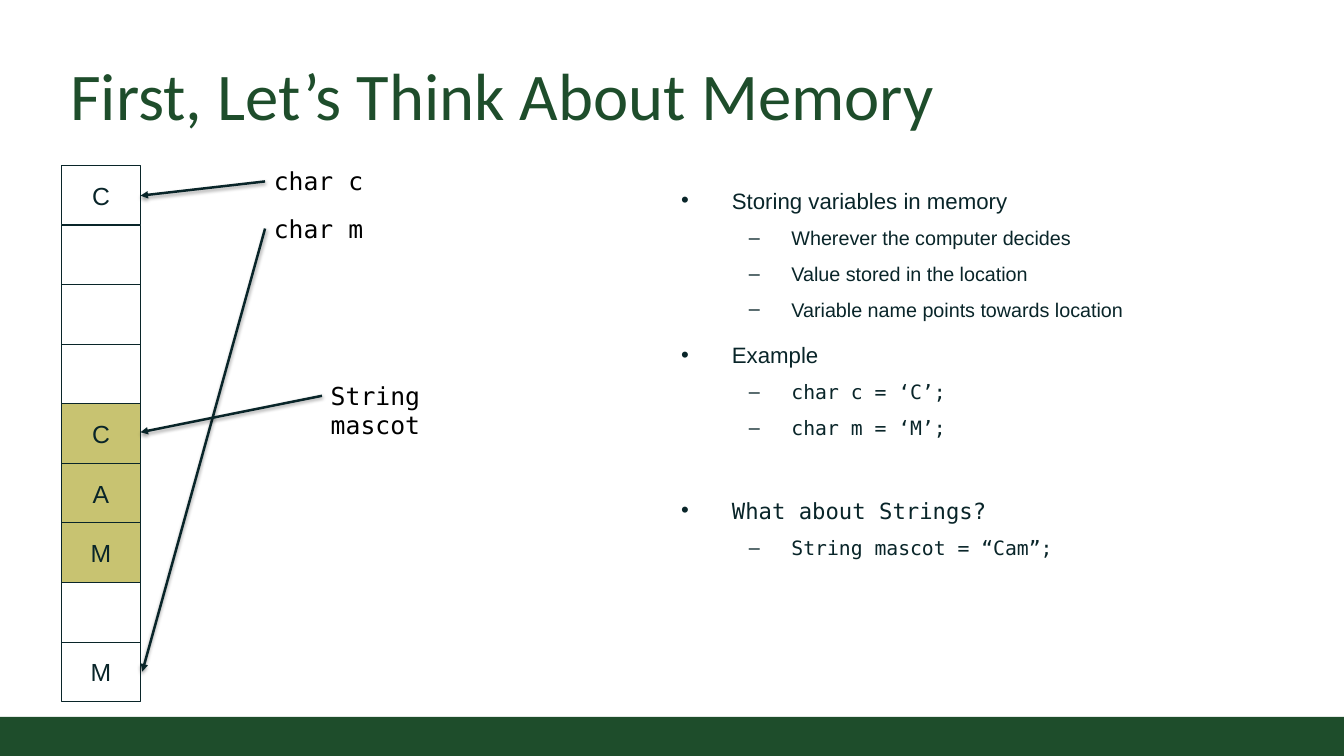
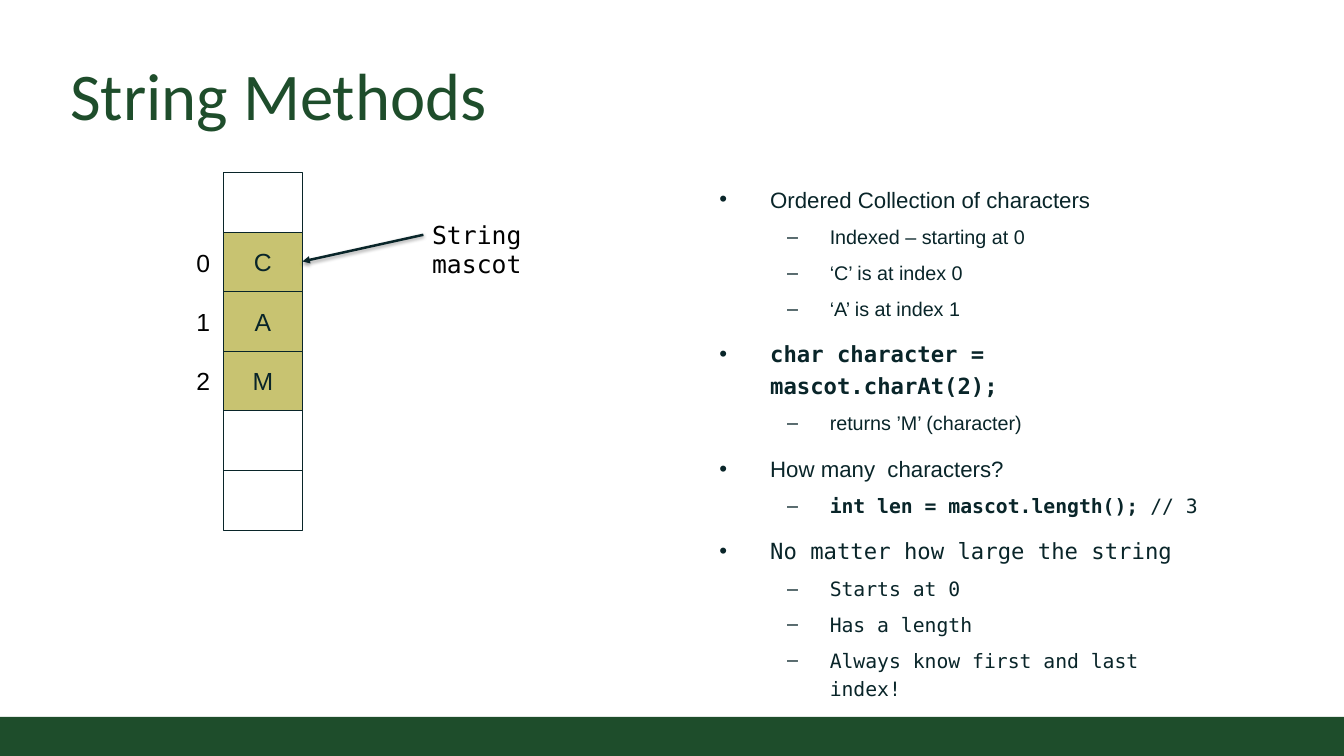
from lxml.etree import SubElement
from pptx import Presentation
from pptx.dml.color import RGBColor
from pptx.enum.shapes import MSO_CONNECTOR, MSO_SHAPE
from pptx.enum.text import MSO_ANCHOR, PP_ALIGN
from pptx.oxml.ns import qn
from pptx.util import Inches, Pt

GREEN, GOLD, INK, BLACK = "1E4D2B", "C8C371", "092529", "000000"
SANS, MONO, HEAD = "Arial", "DejaVu Sans Mono", "Calibri"
WIDE, HIGH = 15.11, 8.5
CELL_W, CELL_H = 0.89, 0.67

MEMORY = [
    (0, SANS, "Storing variables in memory"),
    (1, SANS, "Wherever the computer decides"),
    (1, SANS, "Value stored in the location"),
    (1, SANS, "Variable name points towards location"),
    (0, SANS, "Example"),
    (1, MONO, "char c = ‘C’;"),
    (1, MONO, "char m = ‘M’;"),
    (0, MONO, "What about Strings?", {"before": 36}),
    (1, MONO, "String mascot = “Cam”;"),
]
METHODS = [
    (0, SANS, "Ordered Collection of characters"),
    (1, SANS, "Indexed – starting at 0"),
    (1, SANS, "‘C’ is at index 0"),
    (1, SANS, "‘A’ is at index 1"),
    (0, MONO, "char character = mascot.charAt(2);", {"bold": True}),
    (1, SANS, "returns ’M’ (character)"),
    (0, SANS, "How many  characters?"),
    (1, MONO, "int len = mascot.length(); ", {"bold": True, "tail": "// 3"}),
    (0, MONO, "No matter how large the string"),
    (1, MONO, "Starts at 0"),
    (1, MONO, "Has a length"),
    (1, MONO, "Always know first and last index!"),
]


def color(code):
    return RGBColor.from_string(code)


def box(*sides):
    return [Inches(side) for side in sides]


def style(run, font, size, code, bold=False):
    run.font.name = font
    run.font.size = Pt(size)
    run.font.bold = bold
    run.font.color.rgb = color(code)


def inset(frame, size):
    frame.margin_left = frame.margin_right = Inches(size)
    frame.margin_top = frame.margin_bottom = Inches(size)
    frame.word_wrap = True


def add_rect(slide, place, fill=None, line=None):
    rect = slide.shapes.add_shape(MSO_SHAPE.RECTANGLE, *box(*place))
    rect.shadow.inherit = False
    if fill:
        rect.fill.solid()
        rect.fill.fore_color.rgb = color(fill)
    else:
        rect.fill.background()
    if line:
        rect.line.color.rgb = color(line)
        rect.line.width = Pt(0.75)
    else:
        rect.line.fill.background()
    return rect


def add_slide(deck, title):
    slide = deck.slides.add_slide(deck.slide_layouts[5])
    add_rect(slide, (0, 8.06, WIDE, 0.44), GREEN)
    head = slide.shapes.title
    head.left, head.top, head.width, head.height = box(0.69, 0.49, 13.74, 1.11)
    frame = head.text_frame
    frame.text = title
    inset(frame, 0.1)
    frame.vertical_anchor = MSO_ANCHOR.BOTTOM
    frame.paragraphs[0].alignment = PP_ALIGN.LEFT
    style(frame.paragraphs[0].runs[0], HEAD, 54, GREEN)
    return slide


def add_cells(slide, left, top, marks, gold):
    for row, mark in enumerate(marks):
        fill = GOLD if row in gold else None
        cell = add_rect(slide, (left, top + row * CELL_H, CELL_W, CELL_H), fill, INK)
        if mark:
            frame = cell.text_frame
            frame.text = mark
            inset(frame, 0)
            frame.vertical_anchor = MSO_ANCHOR.MIDDLE
            frame.paragraphs[0].alignment = PP_ALIGN.CENTER
            style(frame.paragraphs[0].runs[0], SANS, 20, INK)


def add_label(slide, text, left, top, width, font):
    label = slide.shapes.add_textbox(*box(left, top, width, 0.44))
    frame = label.text_frame
    frame.text = text
    frame.word_wrap = True
    style(frame.paragraphs[0].runs[0], font, 20, BLACK)


def add_arrow(slide, start, end):
    arrow = slide.shapes.add_connector(MSO_CONNECTOR.STRAIGHT, *box(*start, *end))
    arrow.line.color.rgb = color(INK)
    arrow.line.width = Pt(2)
    props = arrow.element.spPr
    SubElement(props.find(qn("a:ln")), qn("a:tailEnd"), type="triangle")
    effects = SubElement(props, qn("a:effectLst"))
    shade = SubElement(effects, qn("a:outerShdw"), blurRad=str(Pt(3.1)),
                       dist=str(Pt(1.6)), dir="5400000", rotWithShape="0")
    tint = SubElement(shade, qn("a:srgbClr"), val=BLACK)
    SubElement(tint, qn("a:alpha"), val="38000")


def add_name(slide, text, left, top, end):
    add_label(slide, text, left, top, 2.3, MONO)
    add_arrow(slide, (left, top + 0.22), end)


def add_point(para, level, font, text, bold=False, tail=None, before=None):
    size, mark, left, hang = ((18, "•", 0.57, 0.57), (16, "–", 1.24, 0.48))[level]
    para.text = text
    style(para.runs[0], font, size, INK, bold)
    if tail:
        rest = para.add_run()
        rest.text = tail
        style(rest, font, size, INK)
    para.level = level
    para.line_spacing = 1.2
    para.space_before = Pt(before or (0 if level else 6))
    para.space_after = Pt(6)
    props = para._p.get_or_add_pPr()
    props.set("marL", str(Inches(left)))
    props.set("indent", str(-Inches(hang)))
    SubElement(props, qn("a:buFont"), typeface=SANS)
    SubElement(props, qn("a:buChar"), char=mark)


def add_points(slide, place, points):
    frame = slide.shapes.add_textbox(*box(*place)).text_frame
    inset(frame, 0.1)
    for row, (level, font, text, *more) in enumerate(points):
        para = frame.add_paragraph() if row else frame.paragraphs[0]
        add_point(para, level, font, text, **(more[0] if more else {}))


def main():
    deck = Presentation()
    deck.slide_width, deck.slide_height = box(WIDE, HIGH)

    slide = add_slide(deck, "First, Let’s Think About Memory")
    add_points(slide, (7.56, 1.94, 6.87, 4.58), MEMORY)
    add_cells(slide, 0.69, 1.86, ["C", "", "", "", "C", "A", "M", "", "M"], (4, 5, 6))
    add_name(slide, "char c", 2.98, 1.82, (1.58, 2.2))
    add_name(slide, "char m", 2.98, 2.35, (1.6, 7.55))
    add_name(slide, "String mascot", 3.62, 4.23, (1.58, 4.86))

    slide = add_slide(deck, "String Methods")
    add_points(slide, (7.99, 1.93, 5.78, 5.52), METHODS)
    add_cells(slide, 2.51, 1.94, ["", "C", "A", "M", "", ""], (1, 2, 3))
    add_name(slide, "String mascot", 4.76, 2.42, (3.4, 2.94))
    for index in range(3):
        add_label(slide, str(index), 2.11, 2.74 + index * 0.66, 0.32, SANS)

    deck.save("out.pptx")


if __name__ == "__main__":
    main()
